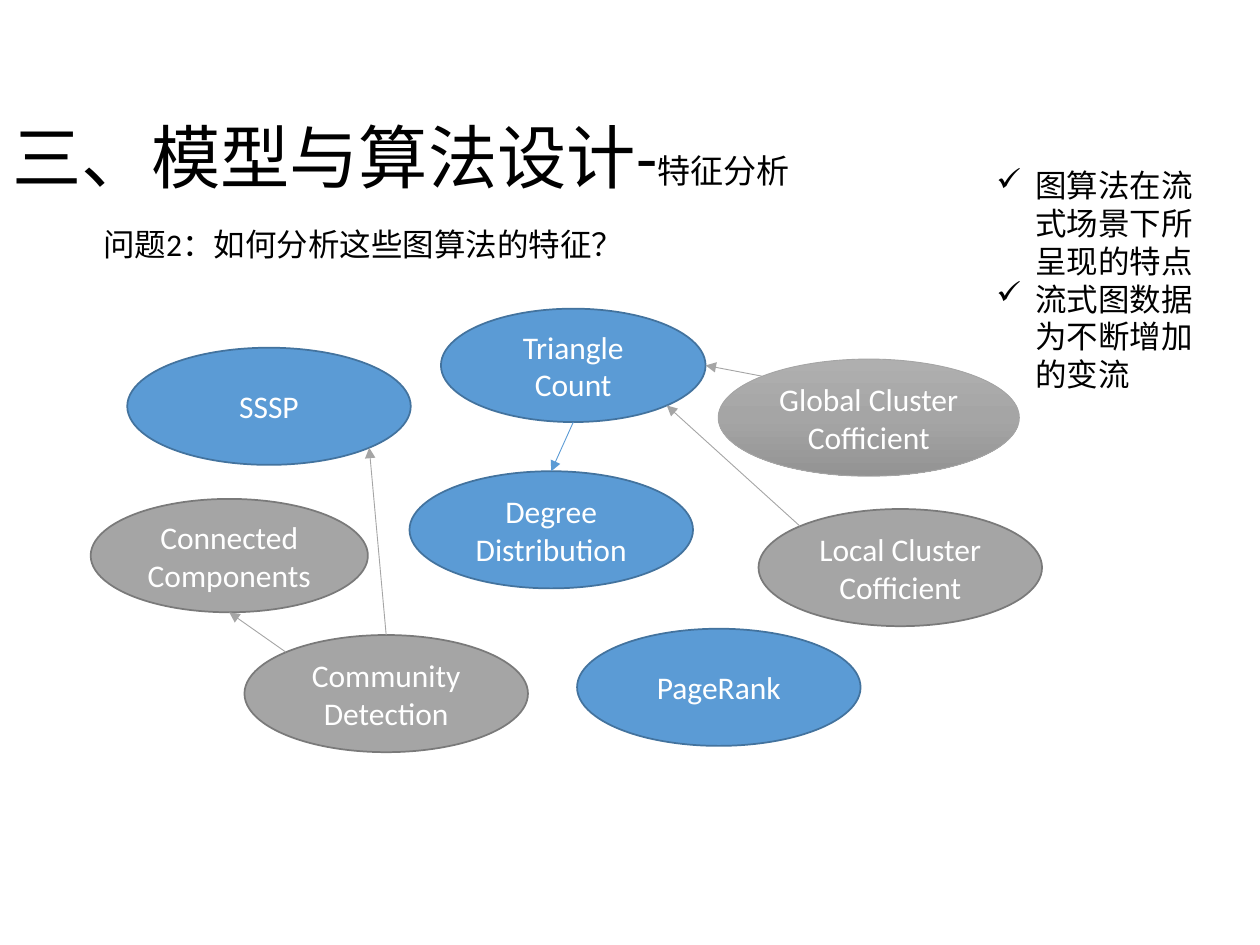
import copy
import math

import pptx
import pptx.dml.color
import pptx.enum.shapes
import pptx.enum.text
import pptx.util
from lxml import etree
from pptx.oxml.ns import qn

RGBColor = pptx.dml.color.RGBColor
BLACK = RGBColor(0x00, 0x00, 0x00)
WHITE = RGBColor(0xFF, 0xFF, 0xFF)
BLUE = RGBColor(0x5B, 0x9B, 0xD5)
DARK_BLUE = RGBColor(0x43, 0x73, 0x9E)
GRAY = RGBColor(0xA5, 0xA5, 0xA5)
DARK_GRAY = RGBColor(0x7A, 0x7A, 0x7A)
GRAY_STOPS = (RGBColor(0xAF, 0xAF, 0xAF), GRAY, RGBColor(0x93, 0x93, 0x93))

FONT = "Calibri"
COLS, ROWS = 100, 75  # grid of the slide, one cell is 0.1 inch
BODY_SIZE = 18

# The eight connection sites of an ellipse, counter-clockwise from the top
TOP, TOP_LEFT, LEFT, BOTTOM_LEFT, BOTTOM, BOTTOM_RIGHT, RIGHT, TOP_RIGHT = range(8)

# name: (text, column, row, columns, rows, style), measured from the graph's box
NODES = {
    "degree": ("Degree Distribution", 25.3, 12.9, 22.5, 9.3, "blue"),
    "triangle": ("Triangle Count", 27.8, 0, 21, 9, "blue"),
    "pagerank": ("PageRank", 38.6, 25.4, 22.5, 9.3, "blue"),
    "sssp": ("SSSP", 2.9, 3.1, 22.5, 9.3, "blue"),
    "connected": ("Connected Components", 0, 15.1, 22, 9, "gray"),
    "local": ("Local Cluster\nCofficient", 53, 15.9, 22.5, 9.3, "gray"),
    "global": ("Global Cluster\nCofficient", 49.8, 4, 23.9, 9.3, "gradient"),
    "community": ("Community\nDetection", 12.2, 25.9, 22.5, 9.3, "gray"),
}
EDGES = [
    ("global", TOP_LEFT, "triangle", RIGHT, GRAY),
    ("local", TOP_LEFT, "triangle", BOTTOM_RIGHT, GRAY),
    ("community", TOP_LEFT, "connected", BOTTOM, GRAY),
    ("triangle", BOTTOM, "degree", TOP, BLUE),
    ("community", TOP, "sssp", BOTTOM_RIGHT, GRAY),
]
STYLES = {  # fill, line, line width
    "blue": (BLUE, DARK_BLUE, 1),
    "gray": (GRAY, DARK_GRAY, 1),
    "gradient": (GRAY_STOPS, GRAY, 0.5),
}


def cells(n):
    return pptx.util.Inches(n / 10)


def format_run(r, size, color):
    r.font.name = FONT
    r.font.size = pptx.util.Pt(size)
    r.font.color.rgb = color


def add_text(slide, box, text):
    """Add a wrapped text box, one paragraph a line, and return its frame."""
    tf = slide.shapes.add_textbox(*map(cells, box)).text_frame
    tf.word_wrap = True
    tf.text = text
    for p in tf.paragraphs:
        for r in p.runs:
            format_run(r, BODY_SIZE, BLACK)
    return tf


def add_title(slide, box, title, subtitle):
    tf = add_text(slide, box, title)
    tf.vertical_anchor = pptx.enum.text.MSO_ANCHOR.MIDDLE
    p = tf.paragraphs[0]
    p.line_spacing = 0.9
    format_run(p.runs[0], 39.6, BLACK)
    r = p.add_run()
    r.text = subtitle
    format_run(r, 18.9, BLACK)


def add_checklist(slide, box, items):
    tf = add_text(slide, box, "\n".join(items))
    indent = cells(3.1)
    for p in tf.paragraphs:
        pPr = p._p.get_or_add_pPr()
        pPr.set("marL", str(indent))
        pPr.set("indent", str(-indent))
        etree.SubElement(pPr, qn("a:buChar")).set("char", "✓")


def fill_gradient(fill, colors):
    """Fill from top to bottom with three evenly spaced colours."""
    fill.gradient()
    fill.gradient_angle = 270
    first = fill.gradient_stops[0]._gs
    first.addnext(copy.deepcopy(first))
    for i, (stop, color) in enumerate(zip(fill.gradient_stops, colors)):
        stop.position = i / 2
        stop.color.rgb = color


def add_node(slide, box, text, style):
    fill, line, width = STYLES[style]
    sp = slide.shapes.add_shape(pptx.enum.shapes.MSO_SHAPE.OVAL, *map(cells, box))
    sp.shadow.inherit = False
    if style == "gradient":
        fill_gradient(sp.fill, fill)
    else:
        sp.fill.solid()
        sp.fill.fore_color.rgb = fill
    sp.line.color.rgb = line
    sp.line.width = pptx.util.Pt(width)
    tf = sp.text_frame
    tf.word_wrap = True
    tf.vertical_anchor = pptx.enum.text.MSO_ANCHOR.MIDDLE
    tf.text = text
    for p in tf.paragraphs:
        p.alignment = pptx.enum.text.PP_ALIGN.CENTER
        format_run(p.runs[0], BODY_SIZE, WHITE)
    return sp


def site_point(sp, site):
    angle = math.radians(45 * site)
    x = sp.left + sp.width / 2 * (1 - math.sin(angle))
    y = sp.top + sp.height / 2 * (1 - math.cos(angle))
    return round(x), round(y)


def add_edge(slide, source, source_site, target, target_site, color):
    """Join two ellipses by an arrow glued to their connection sites."""
    c = slide.shapes.add_connector(
        pptx.enum.shapes.MSO_CONNECTOR.STRAIGHT,
        *site_point(source, source_site), *site_point(target, target_site))
    c.line.color.rgb = color
    c.line.width = pptx.util.Pt(0.5)
    etree.SubElement(c.line._get_or_add_ln(), qn("a:tailEnd")).set("type", "triangle")
    etree.SubElement(c._element.spPr, qn("a:effectLst"))
    glue = c._element.nvCxnSpPr.cNvCxnSpPr
    for tag, sp, site in (("a:stCxn", source, source_site),
                          ("a:endCxn", target, target_site)):
        end = etree.SubElement(glue, qn(tag))
        end.set("id", str(sp.shape_id))
        end.set("idx", str(site))


def add_graph(slide, left, top):
    nodes = {}
    for name, (text, col, row, w, h, style) in NODES.items():
        nodes[name] = add_node(slide, (left + col, top + row, w, h), text, style)
    for source, source_site, target, target_site, color in EDGES:
        add_edge(slide, nodes[source], source_site, nodes[target], target_site, color)


def main():
    prs = pptx.Presentation()
    prs.slide_width, prs.slide_height = cells(COLS), cells(ROWS)
    slide = prs.slides.add_slide(prs.slide_layouts[6])
    add_title(slide, (0, 9.2, 86.2, 7.1), "三、模型与算法设计-", "特征分析")
    add_text(slide, (7.2, 17.4, 66.6, 4), "问题2：如何分析这些图算法的特征？")
    add_checklist(slide, (78.1, 12.7, 18.8, 19.2),
                  ["图算法在流式场景下所呈现的特点", "流式图数据为不断增加的变流"])
    add_graph(slide, 7.2, 24.5)
    prs.save("out.pptx")


if __name__ == "__main__":
    main()
